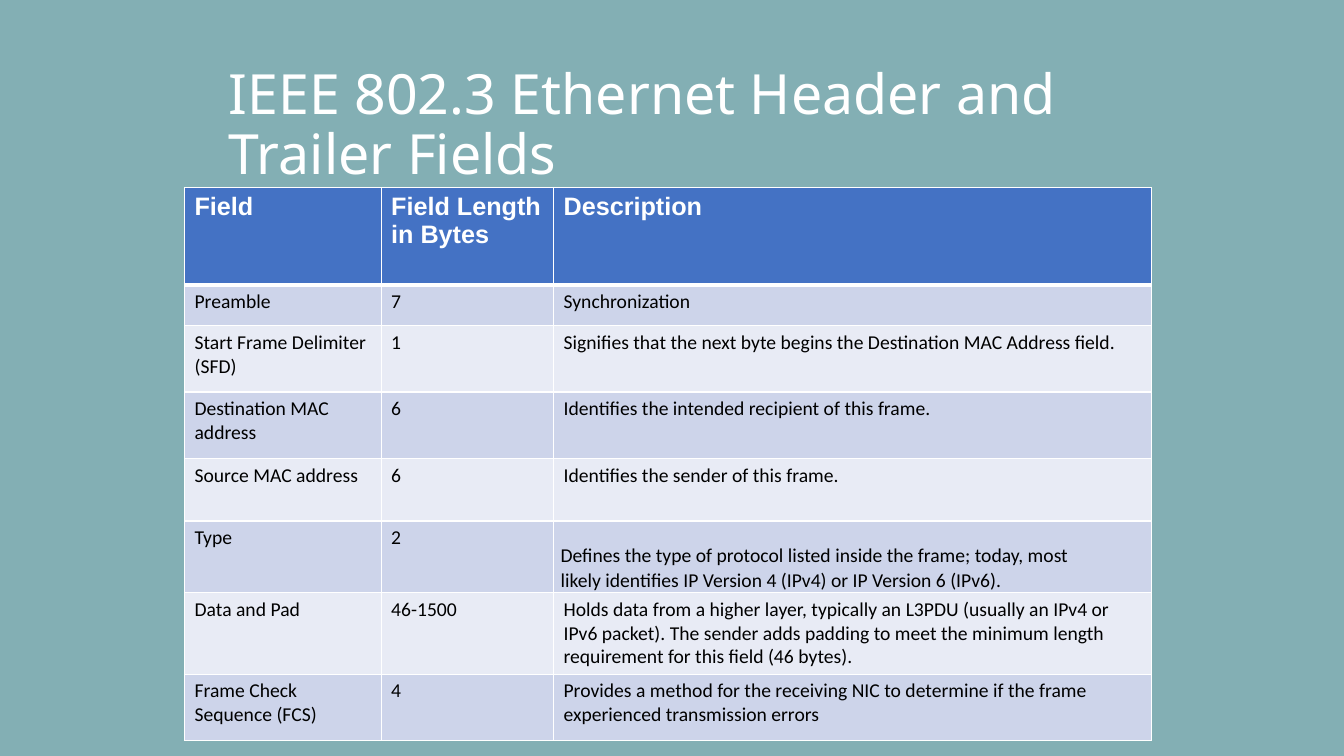
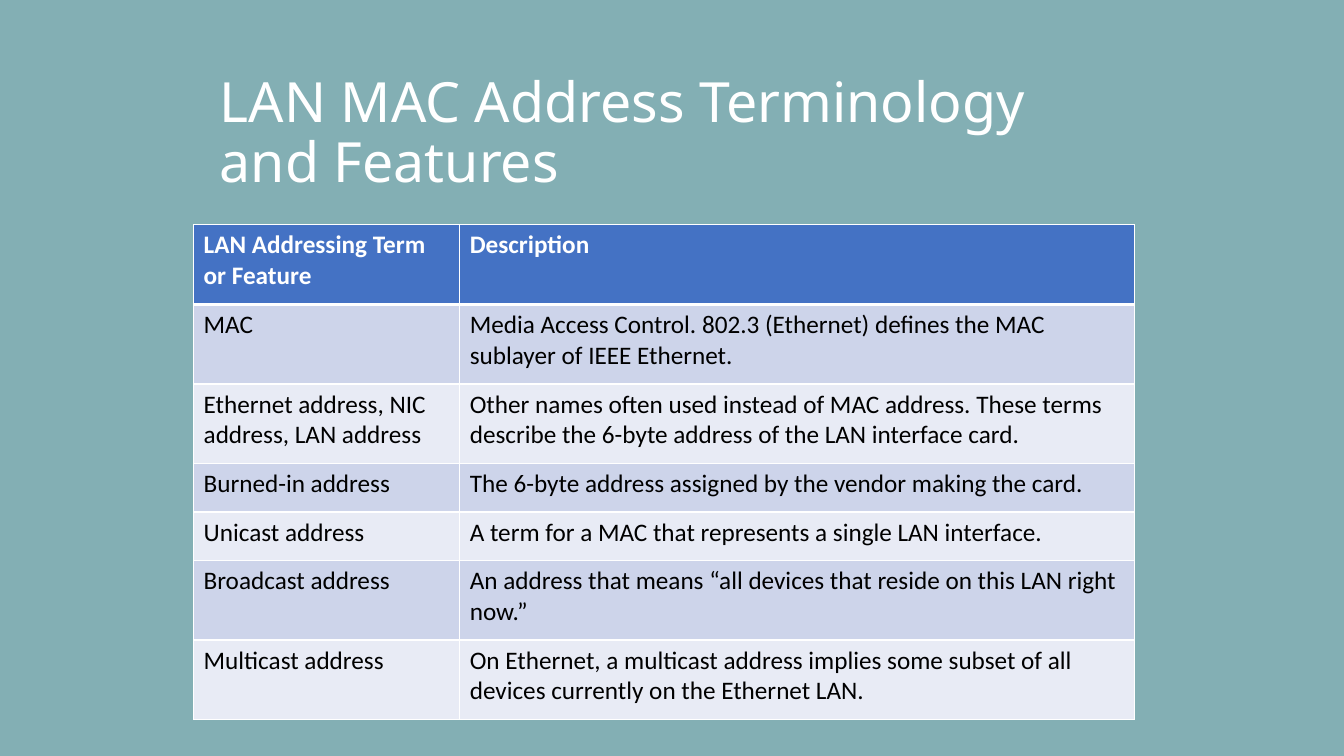
import pptx
import pptx.util
import pptx.dml.color
import pptx.enum.text
import lxml.etree
from pptx.util import Inches
from pptx.oxml.ns import qn

WHITE = "FFFFFF"
BLACK = "000000"
TEAL = "83AFB4"
BLUE = "4472C4"
BANDS = ["CDD4EA", "E8EBF5"]


def paint(fill, hue):
    fill.solid()
    fill.fore_color.rgb = pptx.dml.color.RGBColor.from_string(hue)


def edge(cell, side, width):
    props = cell._tc.get_or_add_tcPr()
    line = lxml.etree.SubElement(props, qn("a:ln" + side), w=str(pptx.util.Pt(width)))
    solid = lxml.etree.SubElement(line, qn("a:solidFill"))
    lxml.etree.SubElement(solid, qn("a:srgbClr"), val=WHITE)


pages = [
    {
        "title": "IEEE 802.3 Ethernet Header and Trailer Fields",
        "spot": (2.17, 0.67),
        "place": (1.83, 1.86),
        "cols": [1.95, 1.71, 5.93],
        "rows": [0.97, 0.4, 0.66, 0.66, 0.62, 0.71, 0.8, 0.66],
        "head": "Arial",
        "size": 14,
        "cells": [
            ["Field", "Field Length in Bytes", "Description"],
            ["Preamble", "7", "Synchronization"],
            ["Start Frame Delimiter (SFD)", "1",
             "Signifies that the next byte begins the Destination MAC Address field."],
            ["Destination MAC address", "6", "Identifies the intended recipient of this frame."],
            ["Source MAC address", "6", "Identifies the sender of this frame."],
            ["Type", "2",
             "Defines the type of protocol listed inside the frame; today, most\n"
             "likely identifies IP Version 4 (IPv4) or IP Version 6 (IPv6)."],
            ["Data and Pad", "46-1500",
             "Holds data from a higher layer, typically an L3PDU (usually an IPv4 or IPv6 packet). "
             "The sender adds padding to meet the minimum length requirement for this field (46 bytes)."],
            ["Frame Check Sequence (FCS)", "4",
             "Provides a method for the receiving NIC to determine if the frame "
             "experienced transmission errors"],
        ],
    },
    {
        "title": "LAN MAC Address Terminology and Features",
        "spot": (2.08, 0.75),
        "place": (1.92, 2.23),
        "cols": [2.64, 6.69],
        "rows": [0.79, 0.79, 0.79, 0.48, 0.48, 0.79, 0.79],
        "head": "Calibri",
        "size": 18,
        "cells": [
            ["LAN Addressing Term or Feature", "Description"],
            ["MAC",
             "Media Access Control. 802.3 (Ethernet) defines the MAC sublayer of IEEE Ethernet."],
            ["Ethernet address, NIC address, LAN address",
             "Other names often used instead of MAC address. These terms describe "
             "the 6-byte address of the LAN interface card."],
            ["Burned-in address", "The 6-byte address assigned by the vendor making the card."],
            ["Unicast address", "A term for a MAC that represents a single LAN interface."],
            ["Broadcast address",
             "An address that means “all devices that reside on this LAN right now.”"],
            ["Multicast address",
             "On Ethernet, a multicast address implies some subset of all devices "
             "currently on the Ethernet LAN."],
        ],
    },
]

deck = pptx.Presentation()
deck.slide_width = Inches(13.33)
deck.slide_height = Inches(7.5)
paint(deck.slide_master.background.fill, TEAL)

for page in pages:
    slide = deck.slides.add_slide(deck.slide_layouts[5])
    title = slide.shapes.title
    title.left, title.top = [Inches(n) for n in page["spot"]]
    title.width, title.height = Inches(9), Inches(1.17)
    frame = title.text_frame
    frame.text = page["title"]
    frame.word_wrap = True
    frame.auto_size = pptx.enum.text.MSO_AUTO_SIZE.NONE
    frame.vertical_anchor = pptx.enum.text.MSO_ANCHOR.MIDDLE
    para = frame.paragraphs[0]
    para.alignment = pptx.enum.text.PP_ALIGN.LEFT
    para.line_spacing = 0.9
    font = para.runs[0].font
    font.name = "Noto Sans"
    font.size = pptx.util.Pt(39.6)
    paint(font.fill, WHITE)

    cols, rows = page["cols"], page["rows"]
    left, top = page["place"]
    grid = slide.shapes.add_table(
        len(rows), len(cols), Inches(left), Inches(top),
        Inches(sum(cols)), Inches(sum(rows))).table
    for col, width in zip(grid.columns, cols):
        col.width = Inches(width)
    for row, height in zip(grid.rows, rows):
        row.height = Inches(height)

    for r, texts in enumerate(page["cells"]):
        first = r == 0
        for c, text in enumerate(texts):
            cell = grid.cell(r, c)
            for side in "LR":
                edge(cell, side, 1)
            edge(cell, "T", 3 if r == 1 else 1)
            edge(cell, "B", 3 if first else 1)
            paint(cell.fill, BLUE if first else BANDS[(r - 1) % 2])
            cell.text_frame.text = text
            paras = cell.text_frame.paragraphs
            if len(paras) > 1:
                cell.margin_left = cell.margin_right = Inches(0.07)
                cell.margin_top, cell.margin_bottom = Inches(0.25), 0
                for para in paras:
                    para.line_spacing = 0.86
                for para in paras[1:]:
                    para.space_before = pptx.util.Pt(3)
            for para in paras:
                font = para.runs[0].font
                font.name = page["head"] if first else "Calibri"
                font.size = pptx.util.Pt(18 if first else page["size"])
                font.bold = first
                paint(font.fill, WHITE if first else BLACK)

deck.save("out.pptx")
